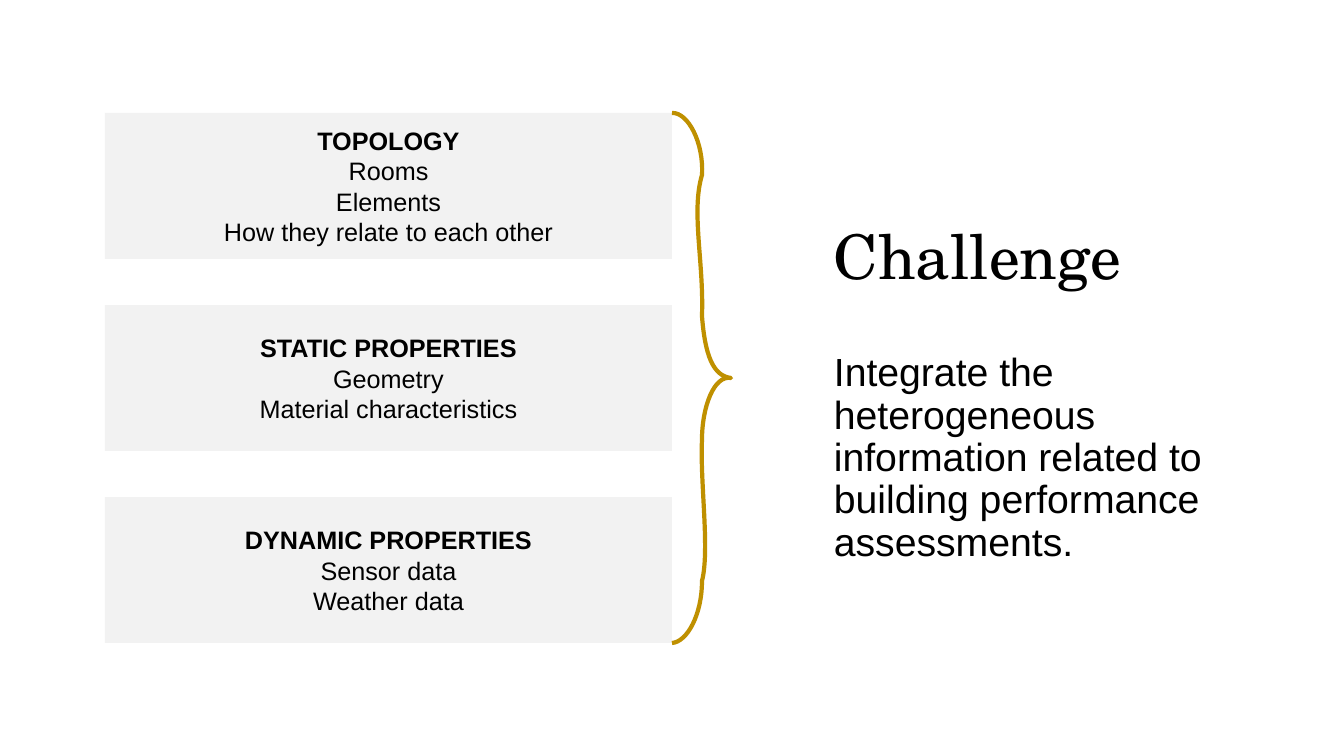
from lxml import etree
from pptx import Presentation
from pptx.dml.color import RGBColor
from pptx.enum.shapes import MSO_SHAPE
from pptx.enum.text import MSO_ANCHOR, PP_ALIGN
from pptx.oxml.ns import qn
from pptx.util import Pt

RECT = MSO_SHAPE.RECTANGLE
MIDDLE, TOP = MSO_ANCHOR.MIDDLE, MSO_ANCHOR.TOP
CENTER, LEFT = PP_ALIGN.CENTER, PP_ALIGN.LEFT
SCALE = 914400 / 100.8

THEME = {
    "ink": RGBColor(0x00, 0x00, 0x00),
    "panel": RGBColor(0xF2, 0xF2, 0xF2),
    "brace": RGBColor(0xBF, 0x90, 0x00),
    "stroke": Pt(3),
    "item": {"name": "Arial", "size": Pt(18), "bold": False},
    "head": {"name": "Arial", "size": Pt(18), "bold": True},
    "title": {"name": "TeX Gyre Schola", "size": Pt(44), "bold": False},
    "body": {"name": "Arial", "size": Pt(28), "bold": False},
}


def emu(*sizes):
    return [round(size * SCALE) for size in sizes]


def write(shape, lines, anchor, layout):
    frame = shape.text_frame
    frame.word_wrap = True
    frame.vertical_anchor = anchor
    for i, (text, style) in enumerate(lines):
        para = frame.paragraphs[0] if i == 0 else frame.add_paragraph()
        for key, value in layout.items():
            setattr(para, key, value)
        run = para.add_run()
        run.text = text
        for key, value in THEME[style].items():
            setattr(run.font, key, value)
        run.font.color.rgb = THEME["ink"]


deck = Presentation()
deck.slide_width, deck.slide_height = emu(1344, 756)
slide = deck.slides.add_slide(deck.slide_layouts[6])

groups = [
    ("TOPOLOGY", ["Rooms", "Elements", "How they relate to each other"]),
    ("STATIC PROPERTIES", ["Geometry", "Material characteristics"]),
    ("DYNAMIC PROPERTIES", ["Sensor data", "Weather data"]),
]
for row, (head, items) in enumerate(groups):
    panel = slide.shapes.add_shape(RECT, *emu(105, 113 + 192 * row, 567, 146))
    panel.shadow.inherit = False
    panel.fill.solid()
    panel.fill.fore_color.rgb = THEME["panel"]
    panel.line.fill.background()
    lines = [(head, "head")] + [(item, "item") for item in items]
    write(panel, lines, MIDDLE, {"alignment": CENTER})

start = (672, 643)
curves = [
    [(687, 642), (702, 615), (702, 581)],
    [(710, 550), (700, 483), (702, 440)],
    [(702, 407), (714, 375), (731, 378)],
    [(713, 376), (705, 355), (702, 316)],
    [(704, 262), (691, 212), (702, 175)],
    [(704, 143), (688, 112), (672, 113)],
]
pen = slide.shapes.build_freeform(*emu(*start))
pen.add_line_segments([emu(*curve[-1]) for curve in curves], close=False)
brace = pen.convert_to_shape()
brace.shadow.inherit = False
brace.fill.background()
brace.line.color.rgb = THEME["brace"]
brace.line.width = THEME["stroke"]
for side, curve in zip(list(brace.element.iter(qn("a:lnTo"))), curves):
    bend = etree.Element(qn("a:cubicBezTo"))
    for spot in curve:
        x, y = emu(*spot)
        etree.SubElement(bend, qn("a:pt"), x=str(x - brace.left),
                         y=str(y - brace.top))
    side.getparent().replace(side, bend)

texts = [
    ("Challenge", "title", 187, 146, MIDDLE),
    ("Integrate the heterogeneous information related to building "
     "performance assessments.", "body", 348, 247, TOP),
]
for text, style, top, height, anchor in texts:
    box = slide.shapes.add_textbox(*emu(824, top, 415, height))
    write(box, [(text, style)], anchor,
          {"alignment": LEFT, "line_spacing": 0.9})

deck.save("out.pptx")
